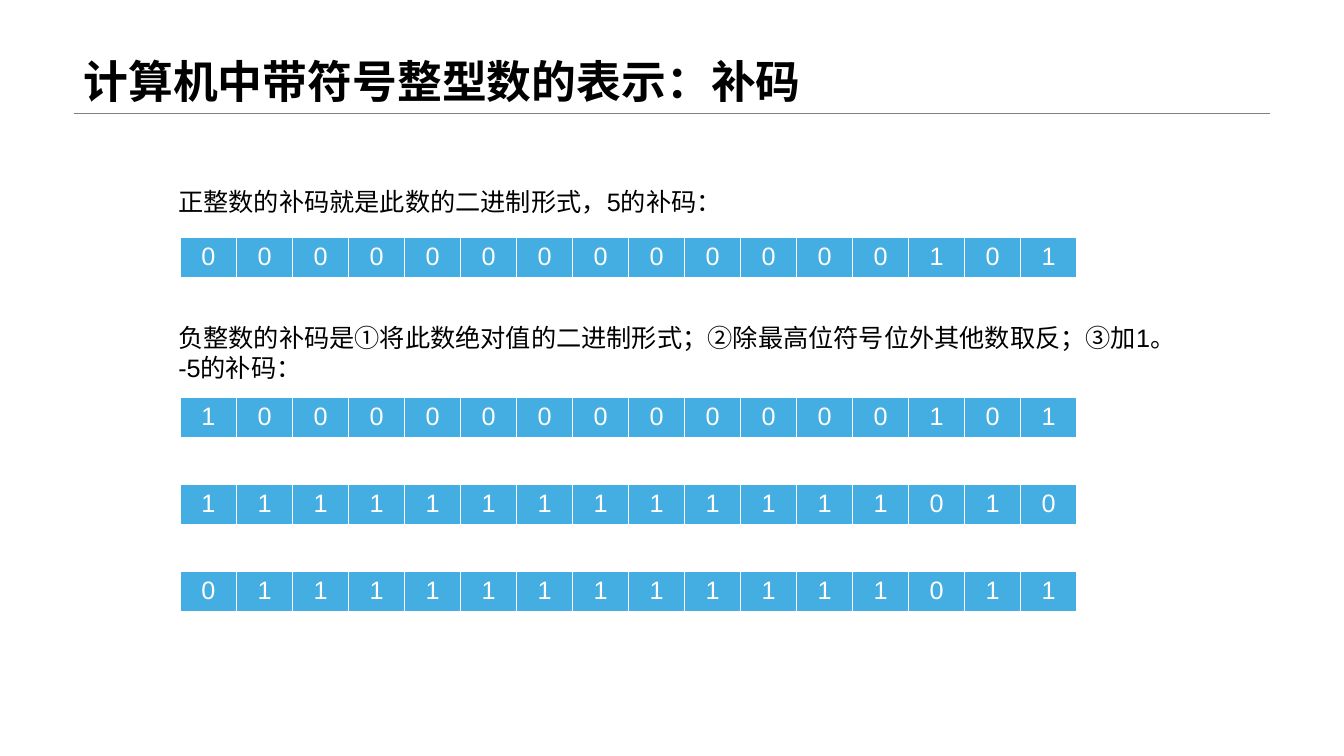
from lxml.etree import SubElement
from pptx import Presentation
from pptx.dml.color import RGBColor
from pptx.enum.shapes import MSO_CONNECTOR
from pptx.enum.text import MSO_ANCHOR, MSO_AUTO_SIZE, PP_ALIGN
from pptx.oxml.ns import qn
from pptx.util import Inches, Pt

COLORS = {"text": "000000", "rule": "808080", "cell": "44ADE1", "white": "FFFFFF"}
CJK_FONT = "Noto Sans CJK SC"
BIT_COUNT = 16
TABLE_LEFT, TABLE_WIDTH, ROW_HEIGHT = 1.79, 8.89, 0.41
BORDERS = {"a:lnL": 1, "a:lnR": 1, "a:lnT": 1, "a:lnB": 3}


def style_font(paragraph, size, color, name="Arial", bold=False):
    font = paragraph.font
    font.size, font.bold, font.name = Pt(size), bold, name
    font.color.rgb = RGBColor.from_string(COLORS[color])
    SubElement(font._element, qn("a:ea"), typeface=CJK_FONT)


def add_text(left, top, width, height, lines):
    box = slide.shapes.add_textbox(Inches(left), Inches(top), Inches(width), Inches(height))
    frame = box.text_frame
    frame.word_wrap = True
    frame.text = "\n".join(lines)
    return frame


presentation = Presentation()
presentation.slide_width, presentation.slide_height = Inches(13.33), Inches(7.5)
slide = presentation.slides.add_slide(presentation.slide_layouts[6])

# Title and the rule below it
rule = slide.shapes.add_connector(
    MSO_CONNECTOR.STRAIGHT, Inches(0.73), Inches(1.12), Inches(12.6), Inches(1.12))
rule.line.color.rgb = RGBColor.from_string(COLORS["rule"])
rule.line.width = Pt(0.25)
SubElement(rule._element.spPr, qn("a:effectLst"))

title = add_text(0.73, 0, 11.87, 1.12, ["计算机中带符号整型数的表示：补码"])
title.vertical_anchor = MSO_ANCHOR.BOTTOM
title.paragraphs[0].line_spacing = 0.9
style_font(title.paragraphs[0], 32, "text", CJK_FONT, bold=True)

# Explanations
explanations = [
    (1.8, 9.42, 0.4, ["正整数的补码就是此数的二进制形式，5的补码："]),
    (3.15, 10.43, 0.71, [
        "负整数的补码是①将此数绝对值的二进制形式；②除最高位符号位外其他数取反；③加1。",
        "-5的补码：",
    ]),
]
for top, width, height, lines in explanations:
    frame = add_text(1.67, top, width, height, lines)
    frame.auto_size = MSO_AUTO_SIZE.SHAPE_TO_FIT_TEXT
    for paragraph in frame.paragraphs:
        style_font(paragraph, 18, "text")

# Bit rows: 5, then the three steps for -5
bit_rows = [
    (2.36, "0000000000000101"),
    (3.94, "1000000000000101"),
    (4.81, "1111111111111010"),
    (5.67, "0111111111111011"),
]
for top, bits in bit_rows:
    table = slide.shapes.add_table(
        1, BIT_COUNT, Inches(TABLE_LEFT), Inches(top),
        Inches(TABLE_WIDTH), Inches(ROW_HEIGHT)).table
    for column, cell, bit in zip(table.columns, table.rows[0].cells, bits):
        column.width = Inches(TABLE_WIDTH / BIT_COUNT)
        cell.text = bit
        paragraph = cell.text_frame.paragraphs[0]
        paragraph.alignment = PP_ALIGN.CENTER
        style_font(paragraph, 18, "white")
        properties = cell._tc.get_or_add_tcPr()
        for side, points in BORDERS.items():
            border = SubElement(properties, qn(side), w=str(Pt(points)))
            border_fill = SubElement(border, qn("a:solidFill"))
            SubElement(border_fill, qn("a:srgbClr"), val=COLORS["white"])
        cell.fill.solid()
        cell.fill.fore_color.rgb = RGBColor.from_string(COLORS["cell"])

presentation.save("out.pptx")
